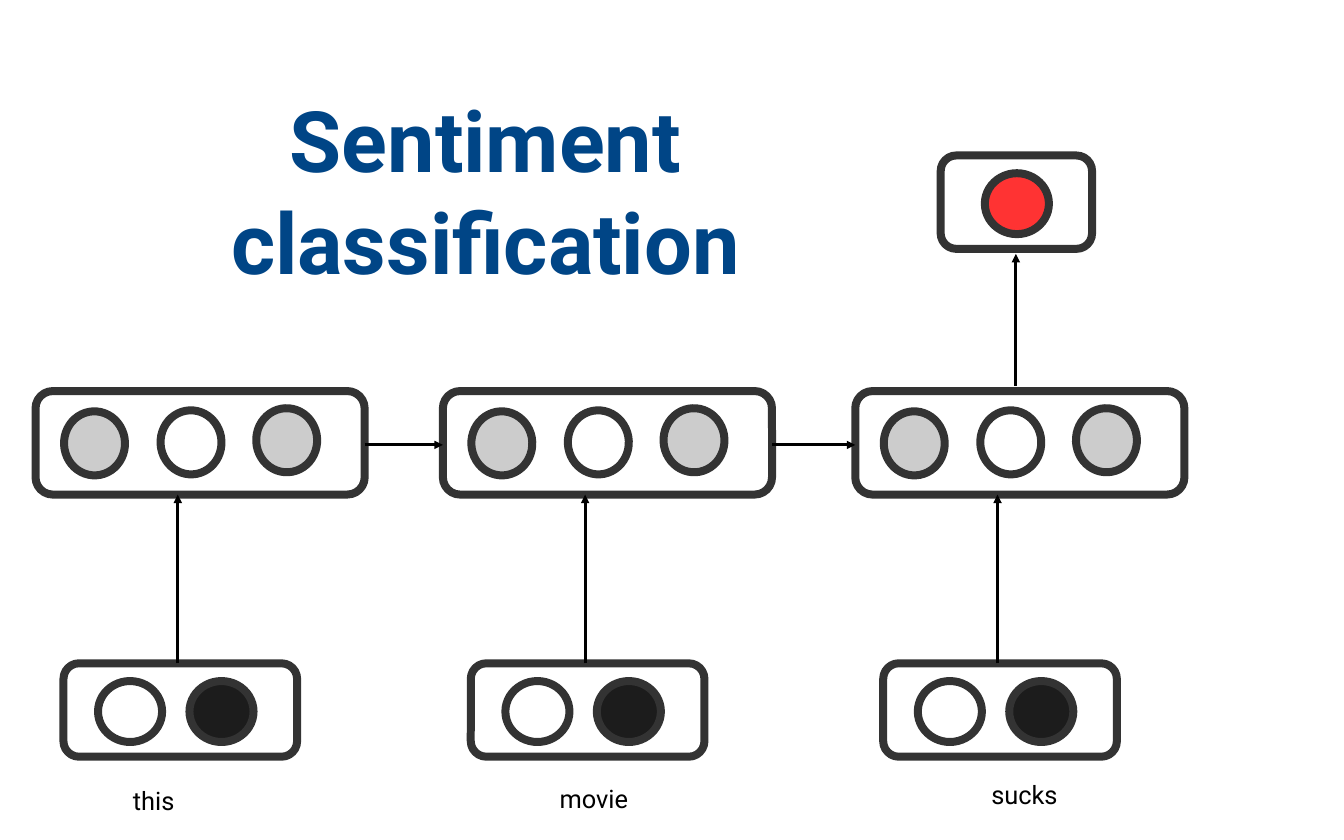
from lxml.etree import SubElement
from pptx import Presentation
from pptx.dml.color import RGBColor
from pptx.enum.shapes import MSO_CONNECTOR, MSO_SHAPE
from pptx.enum.text import MSO_ANCHOR, PP_ALIGN
from pptx.oxml.ns import qn
from pptx.util import Pt

WHITE = RGBColor(0xFF, 0xFF, 0xFF)
BLACK = RGBColor(0, 0, 0)
FRAME = RGBColor(0x33, 0x33, 0x33)
DARK = RGBColor(0x1C, 0x1C, 0x1C)
GRAY = RGBColor(0xCC, 0xCC, 0xCC)
RED = RGBColor(0xFF, 0x33, 0x33)
BLUE = RGBColor(0x00, 0x45, 0x86)
FONT = "Roboto"

HIDDEN_TOP, HIDDEN_END = 277.2, 350.6
INPUT_TOP = 470.2
LINK_Y = 315.4
HIDDEN_WIDTH = 233.3

# Left edge of each step, then its word with left, top and width
STEPS = [
    (25.2, "this", 87.1, 553, 60),
    (313.9, "movie", 389.5, 551.5, 75),
    (606.2, "sucks", 695.5, 548.6, 86.4),
]


def outline(shape, fill=None):
    shape.shadow.inherit = False
    if fill is None:
        shape.fill.background()
    else:
        shape.fill.solid()
        shape.fill.fore_color.rgb = fill
    shape.line.color.rgb = FRAME
    shape.line.width = Pt(5.67)


def add_box(slide, left, top, width, height):
    box = slide.shapes.add_shape(
        MSO_SHAPE.ROUNDED_RECTANGLE, Pt(left), Pt(top), Pt(width), Pt(height))
    box.adjustments[0] = 0.167
    outline(box)


def add_node(slide, left, top, fill, turn):
    node = slide.shapes.add_shape(
        MSO_SHAPE.OVAL, Pt(left), Pt(top), Pt(43.2), Pt(45.4))
    node.rotation = turn
    outline(node, fill)


def add_arrow(slide, x1, y1, x2, y2):
    arrow = slide.shapes.add_connector(
        MSO_CONNECTOR.STRAIGHT, Pt(x1), Pt(y1), Pt(x2), Pt(y2))
    arrow.line.color.rgb = BLACK
    arrow.line.width = Pt(0)
    props = arrow.element.spPr
    SubElement(props.find(qn("a:ln")), qn("a:tailEnd"), type="triangle")
    SubElement(props, qn("a:effectLst"))


def add_text(slide, text, left, top, width, height, size, color):
    box = slide.shapes.add_textbox(Pt(left), Pt(top), Pt(width), Pt(height))
    frame = box.text_frame
    frame.word_wrap = True
    frame.text = text
    font = frame.paragraphs[0].runs[0].font
    font.name, font.size, font.color.rgb = FONT, Pt(size), color
    return frame


def add_title(slide):
    frame = add_text(slide, "Sentiment classification",
                     47.5, 23.8, 593.3, 221, 60, BLUE)
    frame.margin_left = frame.margin_right = 0
    frame.margin_top = frame.margin_bottom = 0
    frame.vertical_anchor = MSO_ANCHOR.MIDDLE
    title = frame.paragraphs[0]
    title.alignment = PP_ALIGN.CENTER
    title.runs[0].font.bold = True


def add_step(slide, left):
    # Input layer
    add_box(slide, left + 19.8, INPUT_TOP, 165.6, 66.2)
    for shift, fill in ((110.2, DARK), (45.4, WHITE)):
        add_node(slide, left + shift, 481.7, fill, 90)
    # Hidden layer
    for shift, top, fill in ((88.6, 290.9, WHITE), (20.2, 291.6, GRAY),
                             (156.4, 289.4, GRAY)):
        add_node(slide, left + shift, top, fill, 357)
    add_box(slide, left, HIDDEN_TOP, HIDDEN_WIDTH, HIDDEN_END - HIDDEN_TOP)
    # Input to hidden
    middle = left + 100.8
    add_arrow(slide, middle, INPUT_TOP, middle, HIDDEN_END)


def main():
    deck = Presentation()
    deck.slide_width, deck.slide_height = Pt(952.56), Pt(595.44)
    slide = deck.slides.add_slide(deck.slide_layouts[6])

    # Steps and their words
    for left, word, x, y, width in STEPS:
        add_step(slide, left)
        add_text(slide, word, x, y, width, 31.7, 18, BLACK)

    # Links between hidden layers
    for step, after in zip(STEPS, STEPS[1:]):
        add_arrow(slide, step[0] + HIDDEN_WIDTH, LINK_Y, after[0], LINK_Y)

    # Output
    add_box(slide, 666.7, 110.2, 107.3, 66.2)
    add_node(slide, 699.1, 121.7, RED, 90)
    add_arrow(slide, 720, 273.6, 720, 180)

    add_title(slide)
    deck.save("out.pptx")


if __name__ == "__main__":
    main()
